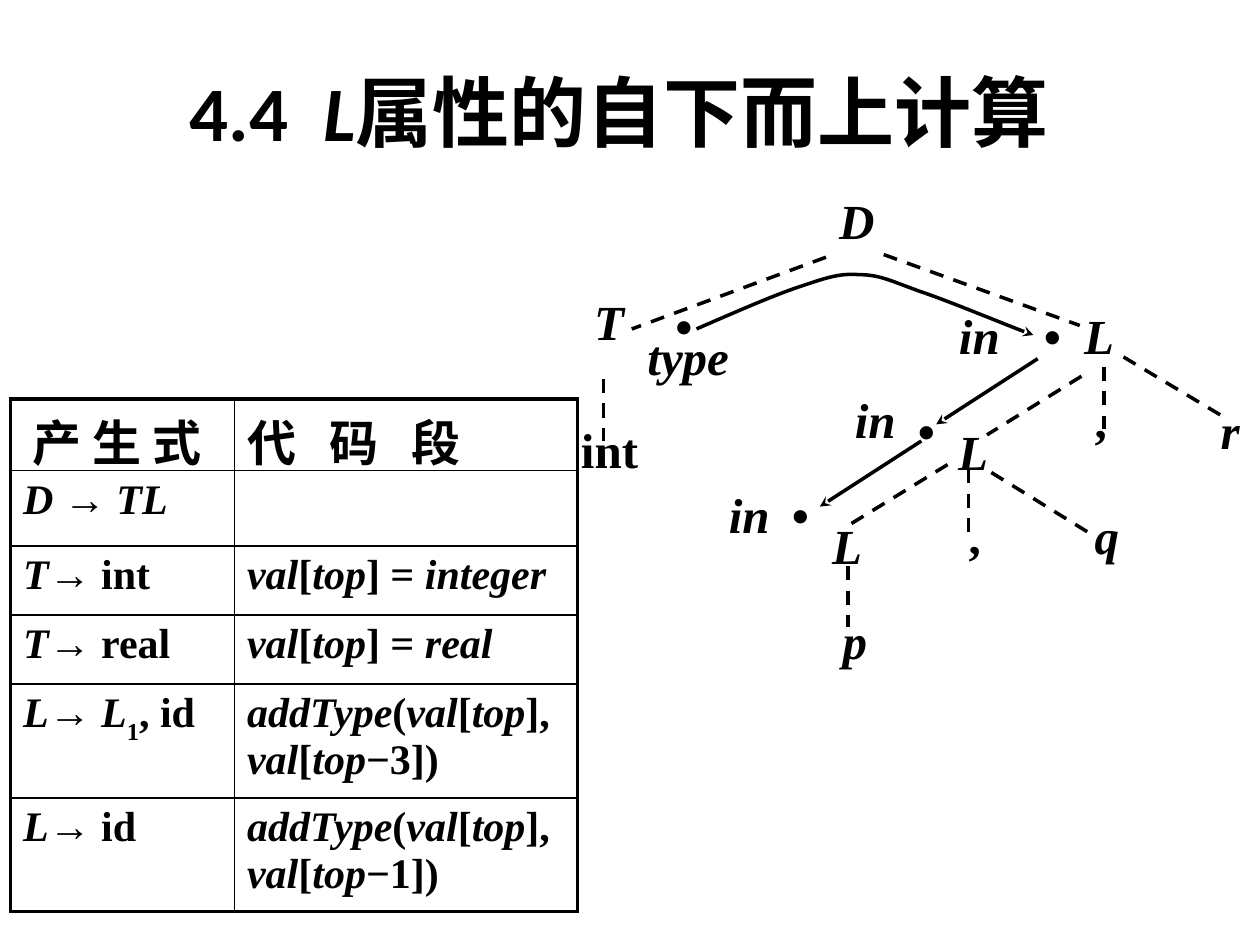
from lxml.etree import SubElement
from pptx import Presentation
from pptx.dml.color import RGBColor
from pptx.enum.dml import MSO_LINE
from pptx.enum.shapes import MSO_CONNECTOR
from pptx.enum.text import MSO_ANCHOR, PP_ALIGN
from pptx.oxml.ns import qn
from pptx.util import Pt

INK = RGBColor(0, 0, 0)
SERIF, SANS, HAN = "Times New Roman", "Calibri", "Noto Sans CJK SC"
MARKS = "*~^"

LABELS = [
    ("*D*", 148, 0), ("*T*", 8, 58), ("*L*", 288, 66), ("*L*", 216, 132),
    (",", 294, 114), ("*r*", 366, 120), ("*L*", 144, 186), (",", 222, 180),
    ("*q*", 294, 180), ("*p*", 150, 240), ("int", 0.5, 131),
    ("•", 54.5, 60), ("*type*", 38.5, 78), ("•", 265, 66), ("•", 193, 120),
    ("•", 121, 168), ("*in*", 157, 114), ("*in*", 85, 168), ("*in*", 216.5, 66),
]
WIDE = {"int": 38, "*q*": 36, "*type*": 58, "*in*": 32}
EDGES = [
    (142, 39, 31, 80), (175, 37.5, 287, 78), (288, 107, 234, 140.5),
    (312, 96, 368, 129.5), (301, 101.5, 301, 137), (211.5, 157.5, 156, 191.5),
    (236.5, 162, 291.5, 196), (223.5, 160, 223.5, 196),
    (15, 108.5, 15, 144), (154.5, 215.5, 154.5, 250.5),
]
FLOWS = [(196.5, 144, 138.5, 181.5), (263, 97, 205, 134.5)]
CURVE = [
    (68, 80), (90, 70.5), (111.5, 61), (126.5, 56), (141.5, 51),
    (149.5, 48), (161, 49), (172.5, 49), (179, 52.5), (195.5, 58.5),
    (212, 64), (246.5, 78.5), (260.5, 83.5),
]
HEADS = ["产 生 式 ", "^代 码 段^"]
RULES = [
    ("*D *→ *TL*", ""),
    ("*T*→ int", "*val*[*top*] = *integer*"),
    ("*T*→ real", "*val*[*top*] = *real*"),
    ("*L*→ *L*~1~, id", "*addType*(*val*[*top*], *val*[*top*−3])"),
    ("*L*→ id", "*addType*(*val*[*top*], *val*[*top*−1])"),
]
COLS = [128, 196]
ROWS = [41, 43, 39.5, 39.5, 65, 65]


def write(frame, text, size, face, align, gap=0):
    """Fill a frame; * marks italics, ~ a subscript and ^ spacing by gap."""
    para = frame.paragraphs[0]
    para.alignment = align
    font = para.font
    font.size, font.bold = Pt(size), True
    font.color.rgb = INK
    font.name = face
    base = para._p.find(qn("a:pPr")).find(qn("a:defRPr"))
    SubElement(base, qn("a:ea")).set("typeface", SERIF if face == SERIF else HAN)
    for mark in MARKS:
        text = text.replace(mark, f"\n{mark}\n")
    state = set()
    for bit in filter(None, text.split("\n")):
        if bit in MARKS:
            state ^= {bit}
            continue
        run = para.add_run()
        run.text = bit
        run.font.italic = "*" in state
        props = run._r.get_or_add_rPr()
        if "~" in state:
            props.set("baseline", "-30000")
        if "^" in state:
            props.set("spc", str(int(gap * 100)))


def ink(shape, arrow=False):
    """Give a line its colour and width, and an arrowhead if asked."""
    shape.line.color.rgb = INK
    shape.line.width = Pt(2)
    if arrow:
        SubElement(shape.line._get_or_add_ln(), qn("a:tailEnd")).set("type", "stealth")


def link(shapes, left, top, ends, arrow=False):
    """Draw a dashed tree edge or a solid arrow."""
    x, y, u, v = ends
    line = shapes.add_connector(
        MSO_CONNECTOR.STRAIGHT,
        Pt(left + x), Pt(top + y), Pt(left + u), Pt(top + v))
    if not arrow:
        line.line.dash_style = MSO_LINE.DASH
    ink(line, arrow)
    SubElement(line._element.spPr, qn("a:effectLst"))


def bend(shapes, left, top, points):
    """Draw an arrow through cubic curves, three points to each."""
    spots = [(Pt(left + x), Pt(top + y)) for x, y in points]
    build = shapes.build_freeform(*spots[0])
    build.add_line_segments(spots[1:], close=False)
    shape = build.convert_to_shape()
    steps = list(shape._element.iter(qn("a:lnTo")))
    for i in range(0, len(steps), 3):
        trio = steps[i:i + 3]
        cubic = SubElement(trio[0].getparent(), qn("a:cubicBezTo"))
        for step in trio:
            cubic.append(step[0])
            step.getparent().remove(step)
    shape.fill.background()
    shape.shadow.inherit = False
    ink(shape, True)


def tree(shapes, left, top):
    """Place the parse tree with its attribute flow."""
    for text, x, y in LABELS:
        box = shapes.add_textbox(
            Pt(left + x), Pt(top + y), Pt(WIDE.get(text, 24)), Pt(45))
        frame = box.text_frame
        frame.word_wrap = True
        frame.margin_left = frame.margin_right = Pt(1.5)
        frame.margin_top = frame.margin_bottom = Pt(0.75)
        write(frame, text, 28, SERIF, PP_ALIGN.JUSTIFY)
    for ends in EDGES:
        link(shapes, left, top, ends)
    for ends in FLOWS:
        link(shapes, left, top, ends, True)
    bend(shapes, left, top, CURVE)


def frame_cell(cell, row, col):
    """Clear a cell's fill and rule it, thicker on the table's rim."""
    cell.fill.background()
    rims = {"L": col == 0, "R": col == len(COLS) - 1,
            "T": row == 0, "B": row == len(ROWS) - 1}
    props = cell._tc.get_or_add_tcPr()
    for spot, (side, rim) in enumerate(rims.items()):
        line = SubElement(props, qn(f"a:ln{side}"), w=str(Pt(2.25 if rim else 1)))
        fill = SubElement(line, qn("a:solidFill"))
        SubElement(fill, qn("a:srgbClr")).set("val", str(INK))
        props.insert(spot, line)


def grid(shapes, left, top):
    """Place the table of productions and code."""
    table = shapes.add_table(
        len(ROWS), len(COLS), Pt(left), Pt(top), Pt(sum(COLS)), Pt(sum(ROWS))).table
    table.first_row = table.horz_banding = False
    for col, width in enumerate(COLS):
        table.columns[col].width = Pt(width)
    for row, texts in enumerate([HEADS, *RULES]):
        table.rows[row].height = Pt(ROWS[row])
        for col, text in enumerate(texts):
            cell = table.cell(row, col)
            frame_cell(cell, row, col)
            head = row == 0
            align = PP_ALIGN.CENTER if head and col == 0 else PP_ALIGN.LEFT
            write(cell.text_frame, text, 28 if head else 24,
                  HAN if head else SERIF, align, 6.3)


def heading(title, left, top, width, height):
    """Move and fill the title."""
    title.left, title.top = Pt(left), Pt(top)
    title.width, title.height = Pt(width), Pt(height)
    title.text_frame.vertical_anchor = MSO_ANCHOR.MIDDLE
    write(title.text_frame, "4.4^ ^*L*属性的自下而上计算", 44, SANS,
          PP_ALIGN.CENTER, 10)


def main():
    """Build and save the slide."""
    deck = Presentation()
    deck.slide_width, deck.slide_height = Pt(720), Pt(540)
    slide = deck.slides.add_slide(deck.slide_layouts[5])
    heading(slide.shapes.title, 24, 18, 660, 90)
    tree(slide.shapes, 330, 108)
    grid(slide.shapes, 6, 228)
    deck.save("out.pptx")


if __name__ == "__main__":
    main()
